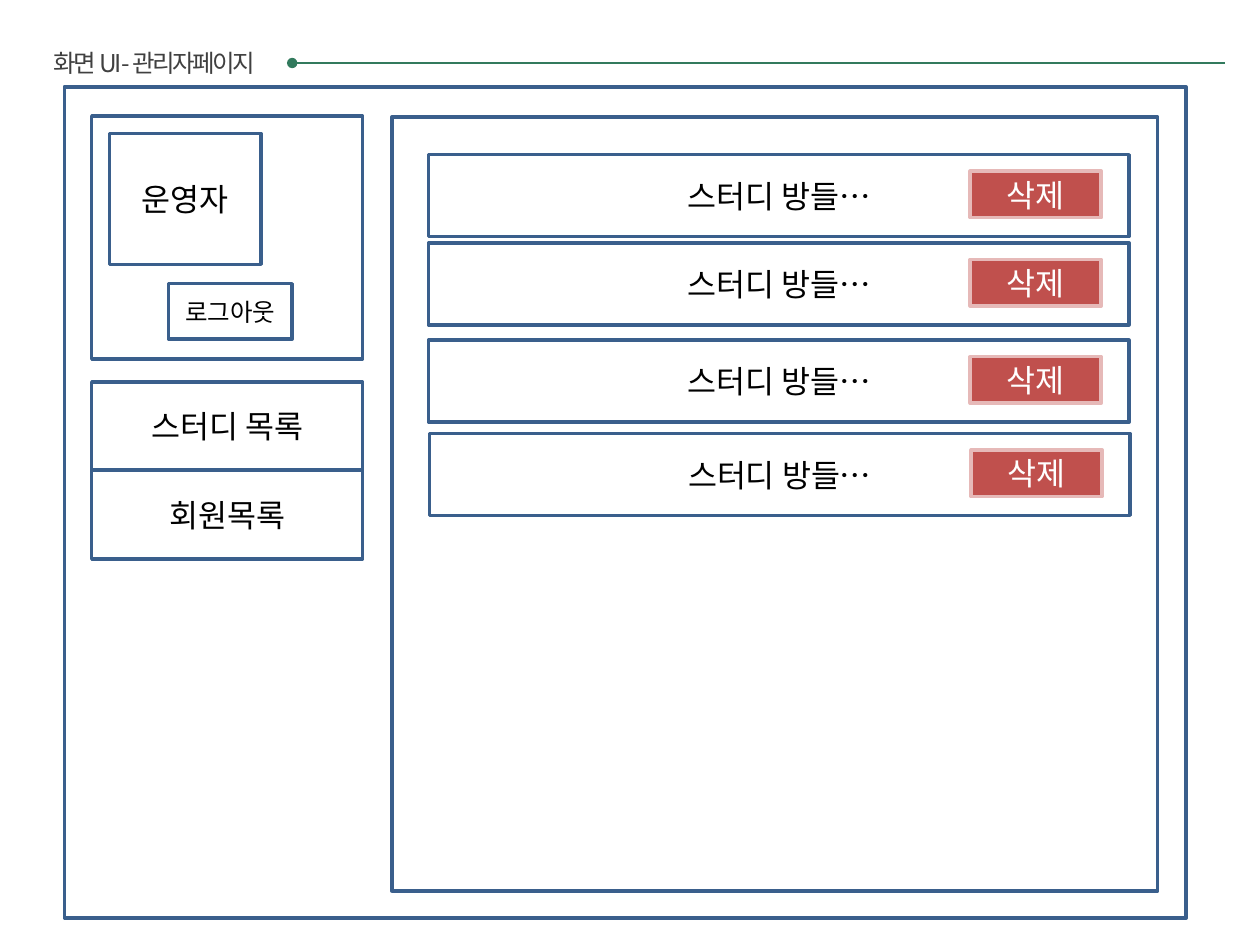
import pptx
import pptx.util
import pptx.dml.color
import pptx.enum.shapes
import pptx.enum.text
import pptx.oxml.ns
from lxml import etree

Cm, Pt = pptx.util.Cm, pptx.util.Pt
RGBColor = pptx.dml.color.RGBColor
qn = pptx.oxml.ns.qn

FRAME_BLUE = RGBColor(0x3A, 0x5F, 0x8C)
DELETE_RED = RGBColor(0xC0, 0x50, 0x4D)
DELETE_EDGE = RGBColor(0xE6, 0xB9, 0xB8)
RULE_GREEN = RGBColor(0x32, 0x7A, 0x5D)
TITLE_GREY = RGBColor(0x40, 0x40, 0x40)
BLACK = RGBColor(0, 0, 0)
WHITE = RGBColor(0xFF, 0xFF, 0xFF)
FONT = "Noto Sans CJK KR"


def write(frame, text, size, color):
    """Put one centred line of text into a text frame."""
    paragraph = frame.paragraphs[0]
    paragraph.alignment = pptx.enum.text.PP_ALIGN.CENTER
    run = paragraph.add_run()
    run.text = text
    for key, value in {"size": Pt(size), "name": FONT}.items():
        setattr(run.font, key, value)
    run.font.color.rgb = color
    properties = run.font._element
    etree.SubElement(properties, qn("a:ea"), typeface=FONT)
    return properties


def add_box(left, top, width, height, text="", size=18, color=BLACK,
            fill=None, edge=FRAME_BLUE):
    """Draw an outlined rectangle, measured in centimetres."""
    box = slide.shapes.add_shape(pptx.enum.shapes.MSO_SHAPE.RECTANGLE,
                                 Cm(left), Cm(top), Cm(width), Cm(height))
    box.shadow.inherit = False
    box.line.color.rgb = edge
    box.line.width = Pt(2)
    if fill is None:
        box.fill.background()
    else:
        box.fill.solid()
        box.fill.fore_color.rgb = fill
    if text:
        box.text_frame.vertical_anchor = pptx.enum.text.MSO_ANCHOR.MIDDLE
        write(box.text_frame, text, size, color)


deck = pptx.Presentation()
deck.slide_width, deck.slide_height = Cm(25.4), Cm(19.05)
slide = deck.slides.add_slide(deck.slide_layouts[5])

# Page heading
heading = slide.shapes.title
for key, value in {"left": Cm(0.51), "top": Cm(0.84),
                   "width": Cm(5.21), "height": Cm(0.86)}.items():
    setattr(heading, key, value)
for key, value in {"word_wrap": False,
                   "auto_size": pptx.enum.text.MSO_AUTO_SIZE.NONE,
                   "vertical_anchor": pptx.enum.text.MSO_ANCHOR.TOP}.items():
    setattr(heading.text_frame, key, value)
write(heading.text_frame, "화면 UI - 관리자페이지", 14, TITLE_GREY).set("spc", "-150")

# Rule beside the heading, starting with a dot
rule = slide.shapes.add_connector(pptx.enum.shapes.MSO_CONNECTOR.STRAIGHT,
                                  Cm(5.89), Cm(1.27), Cm(24.69), Cm(1.27))
rule.line.color.rgb = RULE_GREEN
rule.line.width = Pt(0.75)
etree.SubElement(rule.line._get_or_add_ln(), qn("a:headEnd"), type="oval")
etree.SubElement(rule._element.spPr, qn("a:effectLst"))

# Window and its two panels
add_box(1.3, 1.75, 22.61, 16.76)
add_box(1.85, 2.34, 5.46, 4.9)
add_box(7.9, 2.36, 15.44, 15.6)

# Operator profile
add_box(2.21, 2.69, 3.05, 2.64, "운영자")
add_box(3.4, 5.72, 2.49, 1.12, "로그아웃", size=14)

# Side menu
for index, entry in enumerate(["스터디 목록", "회원목록"]):
    add_box(1.85, 7.7 + index * 1.79, 5.46, 1.78, entry)

# Study rooms, each with a delete button
for room_left, room_top in [(8.64, 3.12), (8.64, 4.9), (8.64, 6.86), (8.66, 8.74)]:
    add_box(room_left, room_top, 14.12, 1.65, "스터디 방들…")
    add_box(room_left + 10.92, room_top + 0.33, 2.64, 0.94, "삭제",
            color=WHITE, fill=DELETE_RED, edge=DELETE_EDGE)

deck.save("out.pptx")
